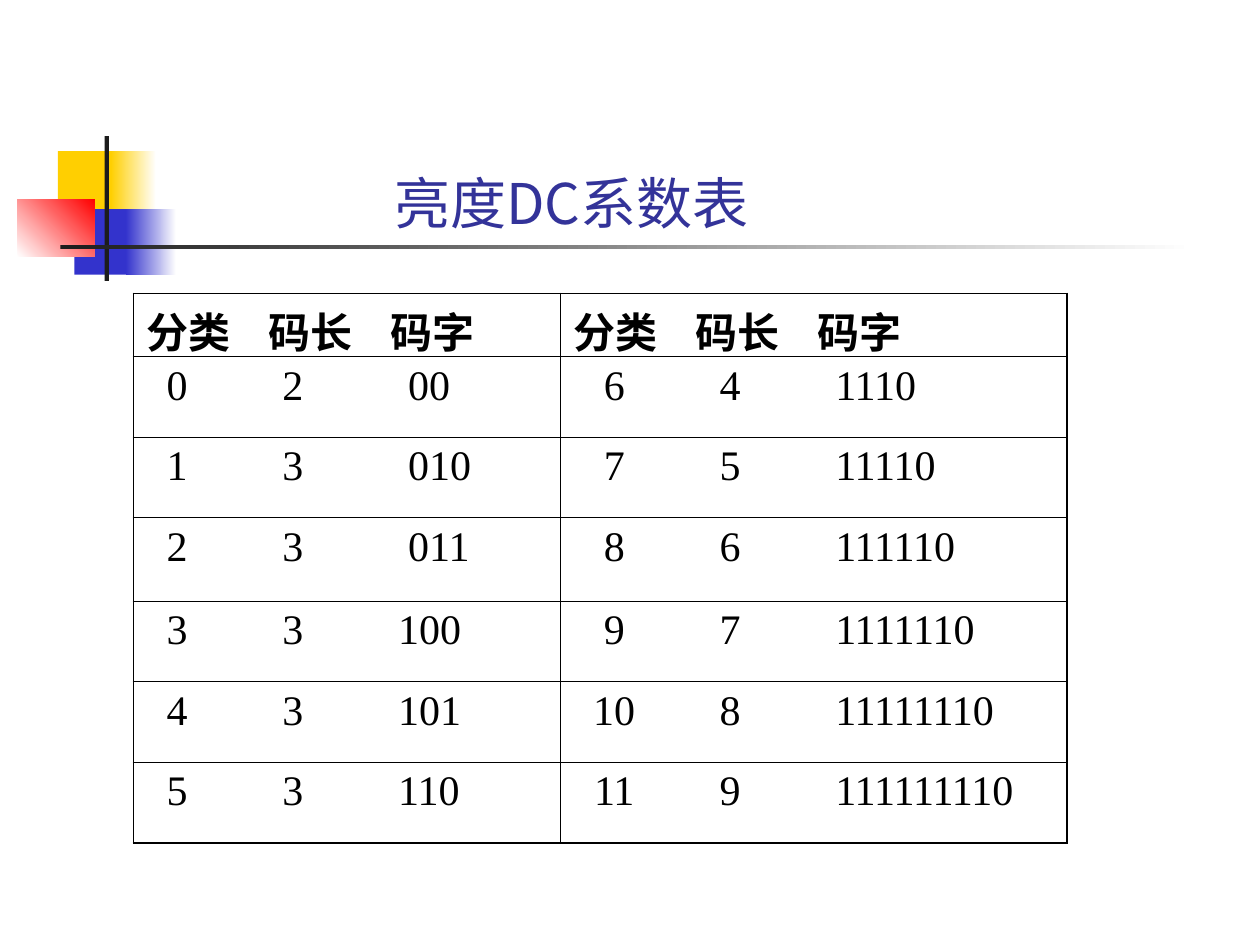
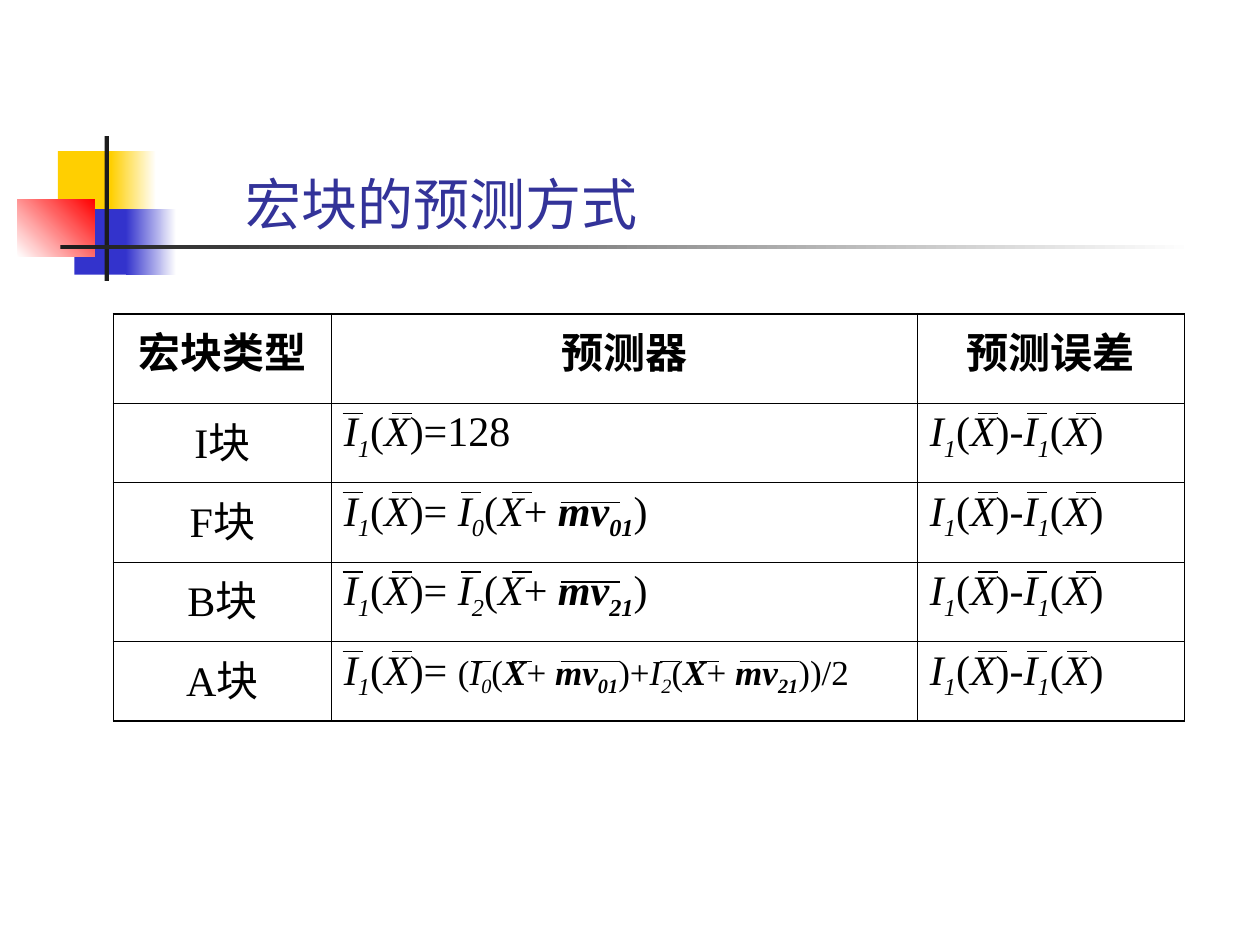
from pptx import Presentation
from pptx.dml.color import RGBColor
from pptx.enum.shapes import MSO_CONNECTOR as Connector, MSO_SHAPE as Shape
from pptx.enum.text import MSO_ANCHOR as Anchor, PP_ALIGN as Align
from pptx.oxml.ns import qn
from pptx.util import Inches, Pt
from lxml.etree import SubElement

WIDTH, HEIGHT = Inches(10), Inches(7.5)
COLS, ROWS = 100, 75
BLACK, WHITE, DARK = "000000", "FFFFFF", "1C1C1C"
YELLOW, BLUE, RED, NAVY = "FFCF01", "3333CC", "FF0000", "333399"
SERIF, HEAD, CJK = "Times New Roman", "Roboto", "Noto Sans CJK SC"


def rgb(value):
    return RGBColor.from_string(value)


def across(cols):
    return round(WIDTH * cols / COLS)


def down(rows):
    return round(HEIGHT * rows / ROWS)


def plain(text):
    return [(text, "")]


def frame(n):
    return [("I", "i"), (n, "i_")]


def at_x(flags="i"):
    return [("(", ""), ("X", flags)]


def vector(n):
    return [("mv", "bi"), (n, "bi_")]


def shifted(image, motion, flags="i"):
    return frame(image) + at_x(flags) + plain("+ ") + vector(motion)


class Deck:
    thick, thin = 1.08, 0.45
    title_size, body_size, small_size = 32, 24, 20

    def __init__(self):
        self.prs = Presentation()
        self.prs.slide_width, self.prs.slide_height = WIDTH, HEIGHT
        self.s = None

    def slide(self):
        self.s = self.prs.slides.add_slide(self.prs.slide_layouts[6])
        self.block(4.6, 12, 4.8, 5.2, YELLOW)
        self.block(8.8, 12, 3.6, 5.2, YELLOW, WHITE)
        self.block(5.9, 16.6, 4.6, 5.2, BLUE)
        self.block(10, 16.6, 4, 5.2, BLUE, WHITE)
        self.block(1.4, 15.8, 6.1, 4.6, WHITE, RED, 45)
        self.block(8.3, 10.8, 0.35, 11.5, DARK)
        self.block(4.8, 19.45, 90, 0.35, DARK, WHITE)

    def block(self, x, y, w, h, color, fade=None, angle=0):
        sp = self.s.shapes.add_shape(Shape.RECTANGLE, across(x), down(y), across(w), down(h))
        sp.shadow.inherit = False
        sp.line.fill.background()
        if fade is None:
            sp.fill.solid()
            sp.fill.fore_color.rgb = rgb(color)
            return
        sp.fill.gradient()
        sp.fill.gradient_angle = angle
        for stop, tone in zip(sp.fill.gradient_stops, (color, fade)):
            stop.color.rgb = rgb(tone)

    def run(self, p, text, size, font, color=BLACK, flags=""):
        r = p.add_run()
        r.text = text
        r.font.size, r.font.name = Pt(size), font
        r.font.color.rgb = rgb(color)
        r.font.bold, r.font.italic = "b" in flags, "i" in flags
        rpr = r._r.get_or_add_rPr()
        SubElement(rpr, qn("a:ea")).set("typeface", CJK)
        if "_" in flags:
            rpr.set("baseline", "-25000")

    def title(self, x, y, w, h, text, font):
        tf = self.s.shapes.add_textbox(across(x), down(y), across(w), down(h)).text_frame
        tf.word_wrap, tf.vertical_anchor = True, Anchor.BOTTOM
        self.run(tf.paragraphs[0], text, self.title_size, font, NAVY)

    def table(self, x, y, widths, heights):
        shape = self.s.shapes.add_table(len(heights), len(widths), across(x), down(y),
                                        across(sum(widths)), down(sum(heights)))
        tbl = shape.table
        tbl.first_row = tbl.horz_banding = False
        for col, w in zip(tbl.columns, widths):
            col.width = across(w)
        for row, h in zip(tbl.rows, heights):
            row.height = down(h)
        last_row, last_col = len(heights) - 1, len(widths) - 1
        for i, row in enumerate(tbl.rows):
            for j, cell in enumerate(row.cells):
                outer = {"L": j == 0, "R": j == last_col, "T": i == 0, "B": i == last_row}
                self.borders(cell, outer)
                cell.fill.background()
        return tbl

    def borders(self, cell, outer):
        tc_pr = cell._tc.get_or_add_tcPr()
        for side, is_outer in outer.items():
            ln = SubElement(tc_pr, qn(f"a:ln{side}"))
            ln.set("w", str(Pt(self.thick if is_outer else self.thin)))
            SubElement(SubElement(ln, qn("a:solidFill")), qn("a:srgbClr")).set("val", BLACK)

    def cell(self, cell, runs, font=SERIF, align=Align.LEFT, tabs=()):
        p = cell.text_frame.paragraphs[0]
        p.alignment = align
        if tabs:
            stops = SubElement(p._p.get_or_add_pPr(), qn("a:tabLst"))
            for col, kind in tabs:
                stop = SubElement(stops, qn("a:tab"))
                stop.set("pos", str(across(col)))
                stop.set("algn", kind)
        for text, flags in runs:
            size = self.small_size if "s" in flags else self.body_size
            self.run(p, text, size, font, flags=flags)

    def overbar(self, x, y, w=1.6):
        line = self.s.shapes.add_connector(Connector.STRAIGHT, across(x), down(y),
                                           across(x + w), down(y))
        line.line.color.rgb, line.line.width = rgb(BLACK), Pt(0.75)
        SubElement(line._element.spPr, qn("a:effectLst"))


def luminance_slide(deck):
    deck.slide()
    deck.title(30.3, 11.5, 64.2, 7.7, "亮度DC系数表", CJK)
    lengths = [2, 3, 3, 3, 3, 3, 4, 5, 6, 7, 8, 9]
    codes = ["00", "010", "011", "100", "101", "110"]
    codes += ["1" * n + "0" for n in range(3, 9)]
    tbl = deck.table(10.6, 23.3, [33.9, 40.2], [5, 6.4, 6.4, 6.6, 6.4, 6.4, 6.4])
    for half in range(2):
        deck.cell(tbl.cell(0, half), [("分类\t码长\t码字", "b")], HEAD,
                  tabs=[(9.7, "l"), (19.4, "l")])
    for category, (length, code) in enumerate(zip(lengths, codes)):
        half, row = divmod(category, 6)
        shift = 0.8 * half
        code_col = 20 if 3 <= category <= 5 else 20.8
        deck.cell(tbl.cell(row + 1, half), plain(f"\t{category}\t{length}\t{code}"),
                  tabs=[(2.45 + shift, "ctr"), (11.65 + shift, "ctr"), (code_col, "l")])


def prediction_slide(deck):
    deck.slide()
    deck.title(18.5, 6.8, 55.5, 12.5, "宏块的预测方式", SERIF)
    tbl = deck.table(9, 24.9, [17.3, 46.5, 21.2], [7.1] + [6.3] * 4)
    for j, label in enumerate(["宏块类型", "预测器", "预测误差"]):
        deck.cell(tbl.cell(0, j), [(label, "b")], HEAD, Align.CENTER)
    current = frame("1") + at_x()
    error = current + plain(")-") + current + plain(")")
    average = (plain("(") + shifted("0", "01", "bi") + plain(")+")
               + shifted("2", "21", "bi") + plain("))/2"))
    predictors = {
        "I": plain(")=128"),
        "F": plain(")= ") + shifted("0", "01") + plain(")"),
        "B": plain(")= ") + shifted("2", "21") + plain(")"),
        "A": plain(")= ") + [(text, flags + "s") for text, flags in average],
    }
    for i, (kind, formula) in enumerate(predictors.items()):
        deck.cell(tbl.cell(i + 1, 0), plain(f"{kind}块"), align=Align.CENTER)
        deck.cell(tbl.cell(i + 1, 1), current + formula)
        deck.cell(tbl.cell(i + 1, 2), error)
        y, is_average = 32.8 + 6.3 * i, kind == "A"
        for x in (27.2, 31.1, 81.5):
            deck.overbar(x, y)
        deck.overbar(77.6, y, 2.3 if is_average else 1.6)
        deck.overbar(84.7 if is_average else 85.4, y)
        if kind != "I":
            small_y = y + 0.8
            symbol_y = small_y if is_average else y
            deck.overbar(37.4 if is_average else 36.6, symbol_y)
            deck.overbar(40.6, symbol_y)
            deck.overbar(44.5, small_y, 4.7)
        if is_average:
            for x, w in ((52.4, 1.6), (55.5, 1.6), (58.7, 4.7)):
                deck.overbar(x, small_y, w)


def main():
    deck = Deck()
    luminance_slide(deck)
    prediction_slide(deck)
    deck.prs.save("out.pptx")


if __name__ == "__main__":
    main()
